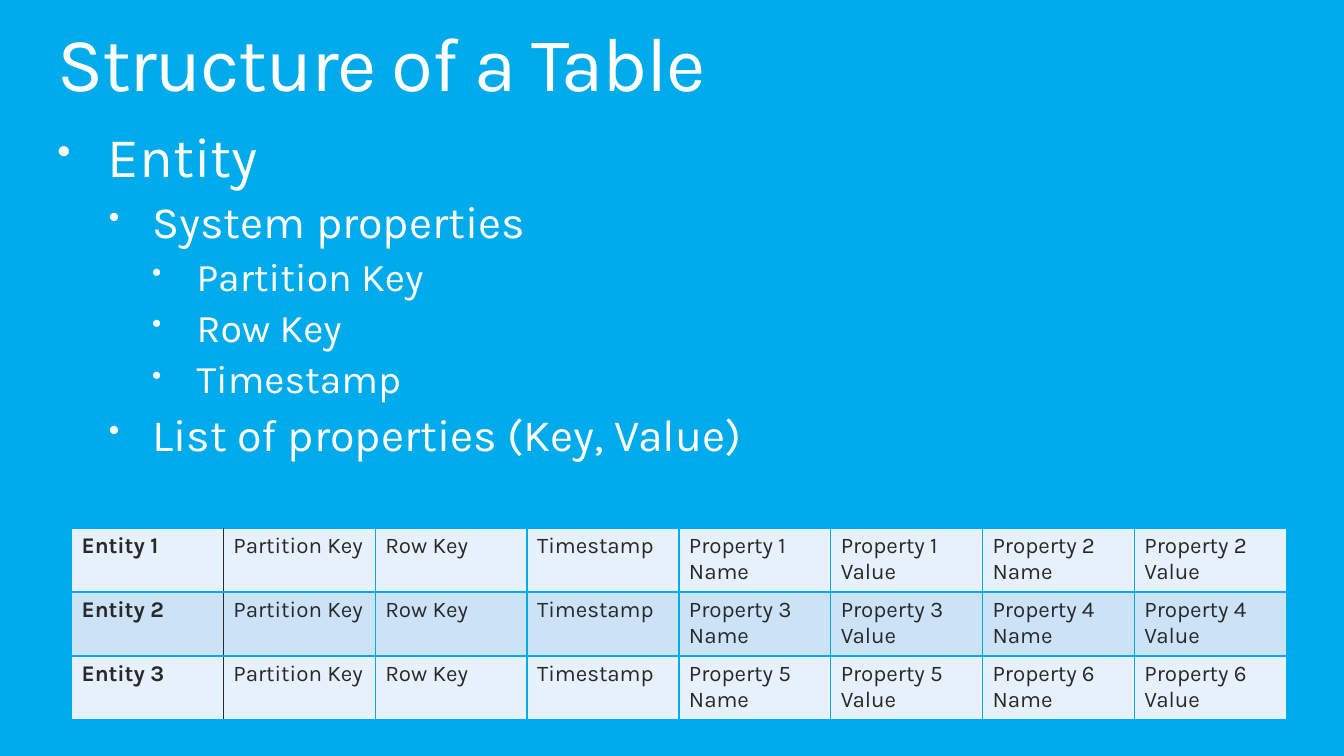
from lxml import etree
from pptx import Presentation
from pptx.dml.color import RGBColor
from pptx.oxml import parse_xml
from pptx.oxml.ns import nsdecls, qn
from pptx.util import Inches, Pt

FONT = "Karla"
BLUE, WHITE, DARK = "00ABEB", "FFFFFF", "292929"
BANDS = ["E7F1FB", "CCE2F7"]


def style(font, size, color, bold=False):
    font.name, font.size, font.bold = FONT, Pt(size), bold
    font.color.rgb = RGBColor.from_string(color)


def text_box(top, high):
    """Add a wrapping box without margins across the slide and return its frame."""
    frame = slide.shapes.add_textbox(
        Inches(0.57), Inches(top), Inches(12.2), Inches(high)).text_frame
    frame.word_wrap = True
    frame.margin_left = frame.margin_right = 0
    frame.margin_top = frame.margin_bottom = 0
    return frame


deck = Presentation()
deck.slide_width, deck.slide_height = Inches(13.33), Inches(7.5)
slide = deck.slides.add_slide(deck.slide_layouts[6])
slide.background.fill.solid()
slide.background.fill.fore_color.rgb = RGBColor.from_string(BLUE)

# Title
para = text_box(0.25, 0.83).paragraphs[0]
para.line_spacing = 0.9
run = para.add_run()
run.text = "Structure of a Table"
style(run.font, 54.6, WHITE)
run.font._element.set("spc", "-100")

# Outline: size, left margin and indent for each level
LEVELS = [(40, 0.5, -0.5), (32, 0.94, -0.43), (28, 1.38, -0.44)]
outline = [
    (0, "Entity"),
    (1, "System properties"),
    (2, "Partition Key"),
    (2, "Row Key"),
    (2, "Timestamp"),
    (1, "List of properties (Key, Value)"),
]
body = text_box(1.28, 3.35)
for i, (level, words) in enumerate(outline):
    para = body.add_paragraph() if i else body.paragraphs[0]
    size, left, indent = LEVELS[level]
    para.text, para.level = words, level
    para.line_spacing, para.space_before = 0.9, Pt(0.23 * size)
    style(para.font, size, WHITE)
    props = para._p.get_or_add_pPr()
    props.set("marL", str(Inches(left)))
    props.set("indent", str(Inches(indent)))
    bullet = [
        parse_xml(f'<a:buClr {nsdecls("a")}><a:srgbClr val="{WHITE}"/></a:buClr>'),
        parse_xml(f'<a:buSzPct {nsdecls("a")} val="70000"/>'),
        parse_xml(f'<a:buChar {nsdecls("a")} char="•"/>'),
    ]
    for part in bullet:
        props.find(qn("a:defRPr")).addprevious(part)

# Table of entities
ROWS, COLS = 3, 8
grid = slide.shapes.add_table(
    ROWS, COLS, Inches(0.71), Inches(5.24), Inches(12.05), Inches(0.62 * ROWS)).table
for r in range(ROWS):
    first, second = 2 * r + 1, 2 * r + 2
    texts = [f"Entity {r + 1}", "Partition Key", "Row Key", "Timestamp"]
    texts += [f"Property {n} {kind}" for n in (first, second) for kind in ("Name", "Value")]
    for c, words in enumerate(texts):
        cell = grid.cell(r, c)
        cell.text = words
        style(cell.text_frame.paragraphs[0].font, 16, DARK, c == 0)
        cell.fill.solid()
        cell.fill.fore_color.rgb = RGBColor.from_string(BANDS[r % 2])
        props = cell._tc.get_or_add_tcPr()
        for k, side in enumerate("LRTB"):
            edge = DARK if (c, side) in ((0, "R"), (1, "L")) else BLUE
            line = etree.Element(qn(f"a:ln{side}"), w=str(Pt(1)))
            fill = etree.SubElement(line, qn("a:solidFill"))
            etree.SubElement(fill, qn("a:srgbClr"), val=edge)
            props.insert(k, line)

deck.save("out.pptx")
